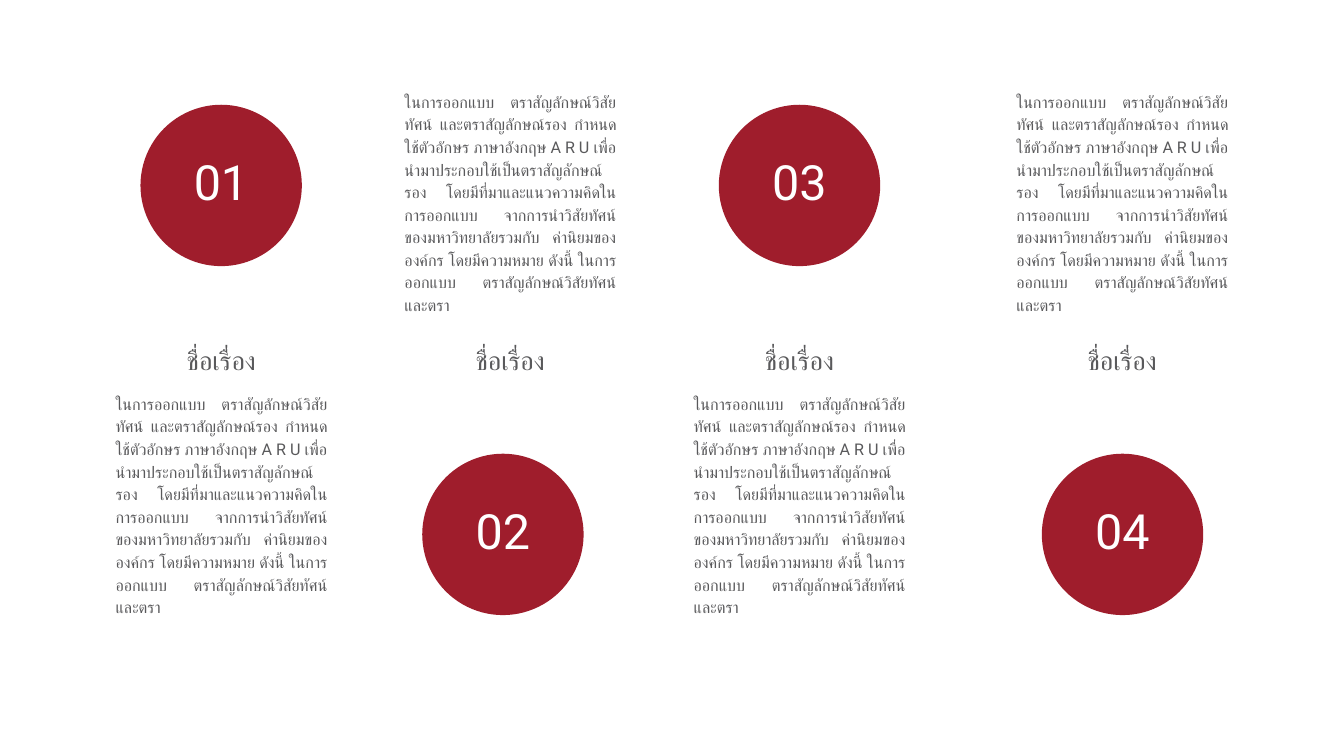
from lxml import etree
from pptx import Presentation
from pptx.dml.color import RGBColor
from pptx.enum.shapes import MSO_SHAPE
from pptx.enum.text import MSO_ANCHOR, MSO_AUTO_SIZE, PP_ALIGN
from pptx.oxml.ns import qn
from pptx.util import Cm, Pt

OVAL = MSO_SHAPE.OVAL
MIDDLE, TOP = MSO_ANCHOR.MIDDLE, MSO_ANCHOR.TOP
CENTER, JUSTIFY = PP_ALIGN.CENTER, PP_ALIGN.JUSTIFY
GROW, FIXED = MSO_AUTO_SIZE.SHAPE_TO_FIT_TEXT, MSO_AUTO_SIZE.NONE

FONT = "Roboto"
COLORS = {"circle": "9F1D2C", "number": "FFFFFF", "text": "59595B"}

HEADING = "ชื่อเรื่อง"
BODY = (
    "ในการออกแบบ ตราสัญลักษณ์วิสัยทัศน์ และตราสัญลักษณ์รอง "
    "กำหนดใช้ตัวอักษร ภาษาอังกฤษ A R U "
    "เพื่อนำมาประกอบใช้เป็นตราสัญลักษณ์รอง "
    "โดยมีที่มาและแนวความคิดในการออกแบบ "
    "จากการนำวิสัยทัศน์ของมหาวิทยาลัยรวมกับ ค่านิยมขององค์กร "
    "โดยมีความหมาย ดังนี้ ในการออกแบบ ตราสัญลักษณ์วิสัยทัศน์ และตรา"
)

# Number, left of the body text, left of the circle (cm)
TOPICS = [
    ("01", 4.37, 5.31),
    ("02", 15.29, 15.96),
    ("03", 26.22, 27.17),
    ("04", 38.42, 39.38),
]
# Circle top and body top (cm)
CIRCLE_ABOVE = (3.96, 14.78)
CIRCLE_BELOW = (17.15, 3.36)
HEADING_TOP = 12.83


def add_text(shapes, text, box, size, spacing, color, align=CENTER,
             anchor=TOP, inset=0, fit=GROW):
    textbox = shapes.add_textbox(*(Cm(length) for length in box))
    frame = textbox.text_frame
    frame.text = text
    frame.word_wrap = True
    frame.auto_size = fit
    frame.vertical_anchor = anchor
    frame.margin_left = frame.margin_right = Cm(inset)
    frame.margin_top = frame.margin_bottom = Cm(inset)

    paragraph = frame.paragraphs[0]
    paragraph.alignment = align
    paragraph.line_spacing = Pt(spacing)
    font = paragraph.runs[0].font
    font.size = Pt(size)
    font.color.rgb = RGBColor.from_string(COLORS[color])
    font.name = FONT
    # Thai letters take the complex-script font
    properties = paragraph.runs[0]._r.get_or_add_rPr()
    etree.SubElement(properties, qn("a:cs"), typeface=FONT)


def add_numbered_circle(slide, number, left, top):
    shapes = slide.shapes.add_group_shape().shapes
    circle = shapes.add_shape(OVAL, Cm(left), Cm(top), Cm(6.1), Cm(6.1))
    circle.shadow.inherit = False
    circle.fill.solid()
    circle.fill.fore_color.rgb = RGBColor.from_string(COLORS["circle"])
    circle.line.fill.background()
    add_text(shapes, number, (left + 0.57, top - 0.15, 4.95, 5.67), 52, 72.8,
             "number", anchor=MIDDLE, inset=0.15, fit=FIXED)


def add_topic(slide, number, body_left, circle_left, circle_top, body_top):
    add_numbered_circle(slide, number, circle_left, circle_top)
    add_text(slide.shapes, HEADING, (body_left + 2.42, HEADING_TOP, 3.15, 1.32),
             28, 39.2, "text")
    add_text(slide.shapes, BODY, (body_left, body_top, 8, 8.46),
             17.3, 24.2, "text", align=JUSTIFY)


def main():
    deck = Presentation()
    deck.slide_width, deck.slide_height = Cm(50.8), Cm(28.575)
    slide = deck.slides.add_slide(deck.slide_layouts[6])

    # Circles alternate above and below the row of headings
    for index, (number, body_left, circle_left) in enumerate(TOPICS):
        tops = CIRCLE_BELOW if index % 2 else CIRCLE_ABOVE
        add_topic(slide, number, body_left, circle_left, *tops)

    deck.save("out.pptx")


if __name__ == "__main__":
    main()
